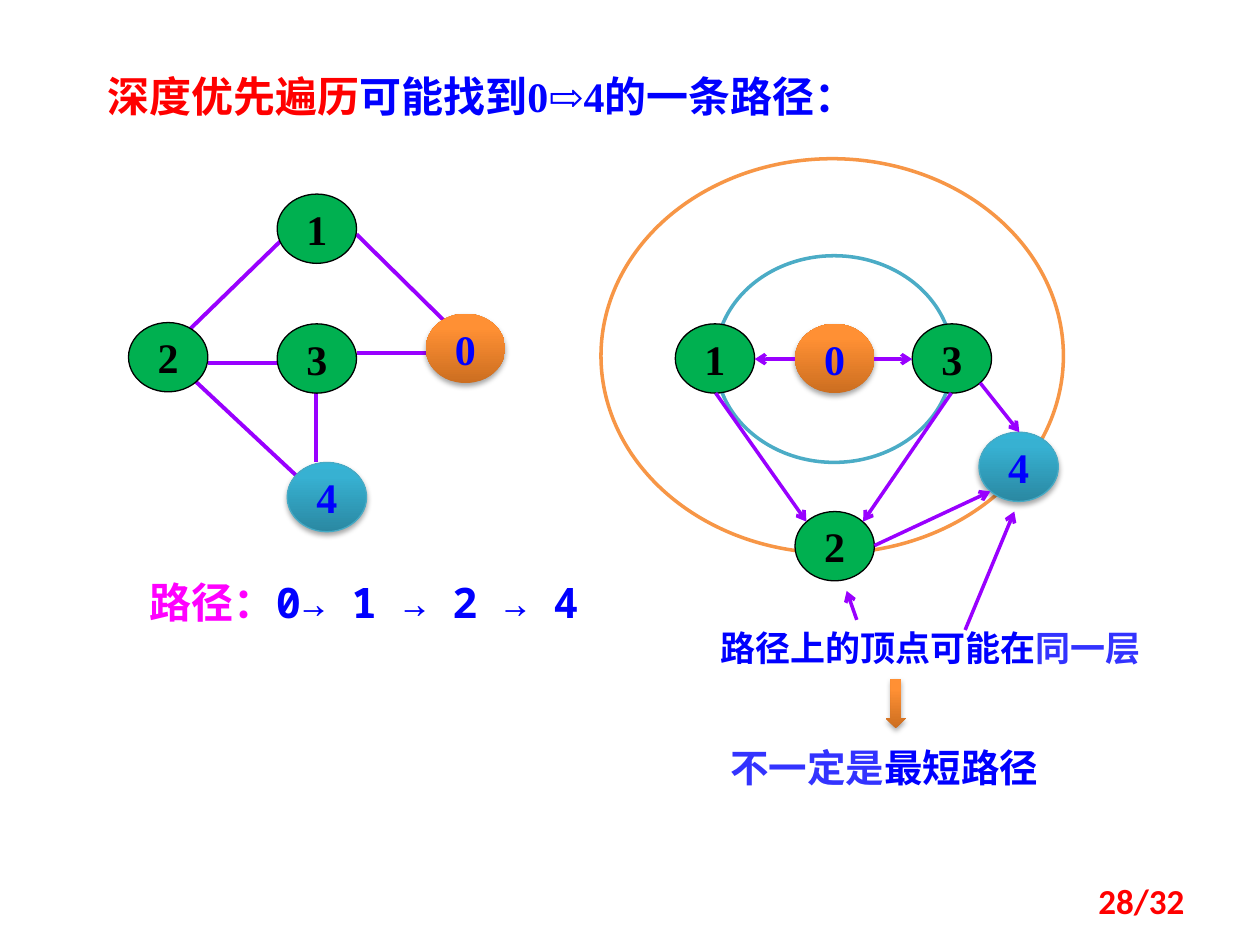
from pptx import Presentation
from pptx.dml.color import RGBColor
from pptx.enum.shapes import MSO_CONNECTOR, MSO_SHAPE
from pptx.enum.text import MSO_ANCHOR, PP_ALIGN
from pptx.oxml.ns import qn
from pptx.oxml.xmlchemy import OxmlElement
from pptx.util import Inches, Pt

OVAL, DOWN_ARROW = MSO_SHAPE.OVAL, MSO_SHAPE.DOWN_ARROW
STRAIGHT = MSO_CONNECTOR.STRAIGHT
LEFT, CENTER, RIGHT = PP_ALIGN.LEFT, PP_ALIGN.CENTER, PP_ALIGN.RIGHT
TOP, MIDDLE = MSO_ANCHOR.TOP, MSO_ANCHOR.MIDDLE

WHITE = RGBColor(0xFF, 0xFF, 0xFF)
BLACK = RGBColor(0, 0, 0)
RED = RGBColor(0xFF, 0, 0)
BLUE = RGBColor(0, 0, 0xFF)
SOFT_BLUE = RGBColor(0x33, 0x33, 0xFF)
MAGENTA = RGBColor(0xFF, 0, 0xFF)
PURPLE = RGBColor(0x99, 0, 0xFF)
GREEN = RGBColor(0, 0xB0, 0x50)
ORANGE = RGBColor(0xF7, 0x96, 0x46)
TEAL = RGBColor(0x4B, 0xAC, 0xC6)
TEAL_EDGE = RGBColor(0x46, 0xAA, 0xC5)
ORANGE_STOPS = ((0, "CC6E20"), (80, "FF9034"), (100, "FF9136"))
TEAL_STOPS = ((0, "2A88A2"), (80, "37B1D2"), (100, "34B4D6"))

SERIF, CJK, MONO, SANS = ("Times New Roman", "Noto Sans CJK SC",
                          "Noto Sans Mono", "Calibri")
NODE_W, NODE_H = 0.63, 0.55


def add_element(parent, tag, **attrs):
    el = OxmlElement(tag)
    for name, value in attrs.items():
        el.set(name, str(value))
    parent.append(el)
    return el


def add_run(p, text, size, font, color, bold=True):
    r = p.add_run()
    r.text = text
    r.font.size = Pt(size)
    r.font.bold = bold
    r.font.name = font
    r.font.color.rgb = color
    add_element(r.font._element, "a:ea", typeface=CJK)


def add_text(s, box, size, runs, align=CENTER, anchor=TOP):
    """Each run is (text, font, color)."""
    tf = s.shapes.add_textbox(*map(Inches, box)).text_frame
    tf.word_wrap = True
    tf.vertical_anchor = anchor
    p = tf.paragraphs[0]
    p.alignment = align
    for text, font, color in runs:
        add_run(p, text, size, font, color)


def add_shape(s, kind, box, fill, line=None, width=0.75):
    sp = s.shapes.add_shape(kind, *map(Inches, box))
    sp.shadow.inherit = False
    if line is None:
        sp.line.fill.background()
    else:
        sp.line.color.rgb = line
        sp.line.width = Pt(width)
    if isinstance(fill, RGBColor):
        sp.fill.solid()
        sp.fill.fore_color.rgb = fill
    else:
        add_gradient_and_shadow(sp, fill)
    return sp


def add_gradient_and_shadow(sp, stops):
    sp.fill.gradient()
    sp.fill.gradient_angle = 90
    spPr = sp._element.spPr
    gsLst = spPr.find(qn("a:gradFill")).find(qn("a:gsLst"))
    for gs in list(gsLst):
        gsLst.remove(gs)
    for pos, color in stops:
        gs = add_element(gsLst, "a:gs", pos=pos * 1000)
        add_element(gs, "a:srgbClr", val=color)
    shadow = add_element(spPr.find(qn("a:effectLst")), "a:outerShdw",
                         blurRad=Pt(3.1), dist=Pt(1.8), dir=90 * 60000,
                         rotWithShape=0)
    add_element(add_element(shadow, "a:srgbClr", val="000000"),
                "a:alpha", val=35000)


def add_node(s, label, x, y):
    fill, line, color = {
        "0": (ORANGE_STOPS, None, BLUE),
        "4": (TEAL_STOPS, TEAL_EDGE, BLUE),
    }.get(label, (GREEN, BLACK, BLACK))
    sp = add_shape(s, OVAL, (x, y, NODE_W, NODE_H), fill, line)
    tf = sp.text_frame
    tf.word_wrap = False
    tf.vertical_anchor = MIDDLE
    p = tf.paragraphs[0]
    p.alignment = CENTER
    add_run(p, label, 24, SERIF, color)


def add_edge(s, x1, y1, x2, y2, width=2.25, arrow=False):
    line = s.shapes.add_connector(STRAIGHT, *map(Inches, (x1, y1, x2, y2)))
    line.line.color.rgb = PURPLE
    line.line.width = Pt(width)
    if arrow:
        add_element(line.line._get_or_add_ln(), "a:tailEnd", type="arrow")
    add_element(line._element.spPr, "a:effectLst")


def add_graph(s):
    for ends in ((2.83, 1.86, 3.54, 2.56), (1.48, 2.96, 2.4, 3.82),
                 (2.23, 1.91, 1.51, 2.61), (1.65, 2.88, 2.28, 2.88),
                 (2.51, 3.12, 2.51, 3.67), (2.83, 2.8, 3.46, 2.8)):
        add_edge(s, *ends)
    for node in (("1", 2.2, 1.54), ("3", 2.2, 2.57), ("2", 1.02, 2.56),
                 ("4", 2.28, 3.67), ("0", 3.38, 2.49)):
        add_node(s, *node)


def add_layers(s):
    add_shape(s, OVAL, (4.77, 1.26, 3.67, 3.13), WHITE, ORANGE, 2)
    add_shape(s, OVAL, (5.68, 2.03, 1.88, 1.64), WHITE, TEAL, 2)


def add_traversal(s):
    for node in (("0", 6.31, 2.57), ("1", 5.36, 2.57), ("3", 7.24, 2.57),
                 ("2", 6.31, 4.06), ("4", 7.77, 3.43)):
        add_node(s, *node)
    # The last two arrows point from the caption to vertices 2 and 4
    for ends in ((6.94, 2.85, 7.24, 2.85), (6.31, 2.85, 5.99, 2.85),
                 (5.68, 3.12, 6.4, 4.14), (7.55, 3.12, 6.85, 4.14),
                 (7.78, 3.04, 8.09, 3.43), (6.94, 4.33, 7.86, 3.9),
                 (6.8, 4.92, 6.72, 4.69), (7.66, 5, 8.05, 4.06)):
        add_edge(s, *ends, width=2, arrow=True)


def main():
    prs = Presentation()
    prs.slide_width, prs.slide_height = Inches(10), Inches(7.5)
    s = prs.slides.add_slide(prs.slide_layouts[6])

    # Layer rings lie behind everything else
    add_layers(s)

    # Title
    add_text(s, (0.62, 0.51, 6.41, 0.5), 24,
             [("深度优先遍历", CJK, RED), ("可能找到", CJK, BLUE),
              ("0⇨4", SERIF, BLUE), ("的一条路径：", CJK, BLUE)])

    # Graph on the left, layered traversal on the right
    add_graph(s)
    add_traversal(s)

    # Path found and conclusions
    add_text(s, (0.7, 4.53, 4.38, 0.5), 24,
             [("路径：", MONO, MAGENTA), ("0→ 1 → 2 → 4", MONO, BLUE)])
    add_text(s, (5.08, 4.92, 4.61, 0.44), 20,
             [("路径上的顶点可能在", SERIF, BLUE),
              ("同一层", SERIF, SOFT_BLUE)])
    add_shape(s, DOWN_ARROW, (7.03, 5.39, 0.16, 0.39), ORANGE_STOPS)
    add_text(s, (5.7, 5.86, 2.89, 0.47), 22,
             [("不一定是", SERIF, SOFT_BLUE), ("最短路径", SERIF, BLUE)],
             LEFT)

    # Page number
    add_text(s, (7.17, 6.95, 2.33, 0.4), 20, [("28/32", SANS, RED)],
             RIGHT, MIDDLE)

    prs.save("out.pptx")


if __name__ == "__main__":
    main()
